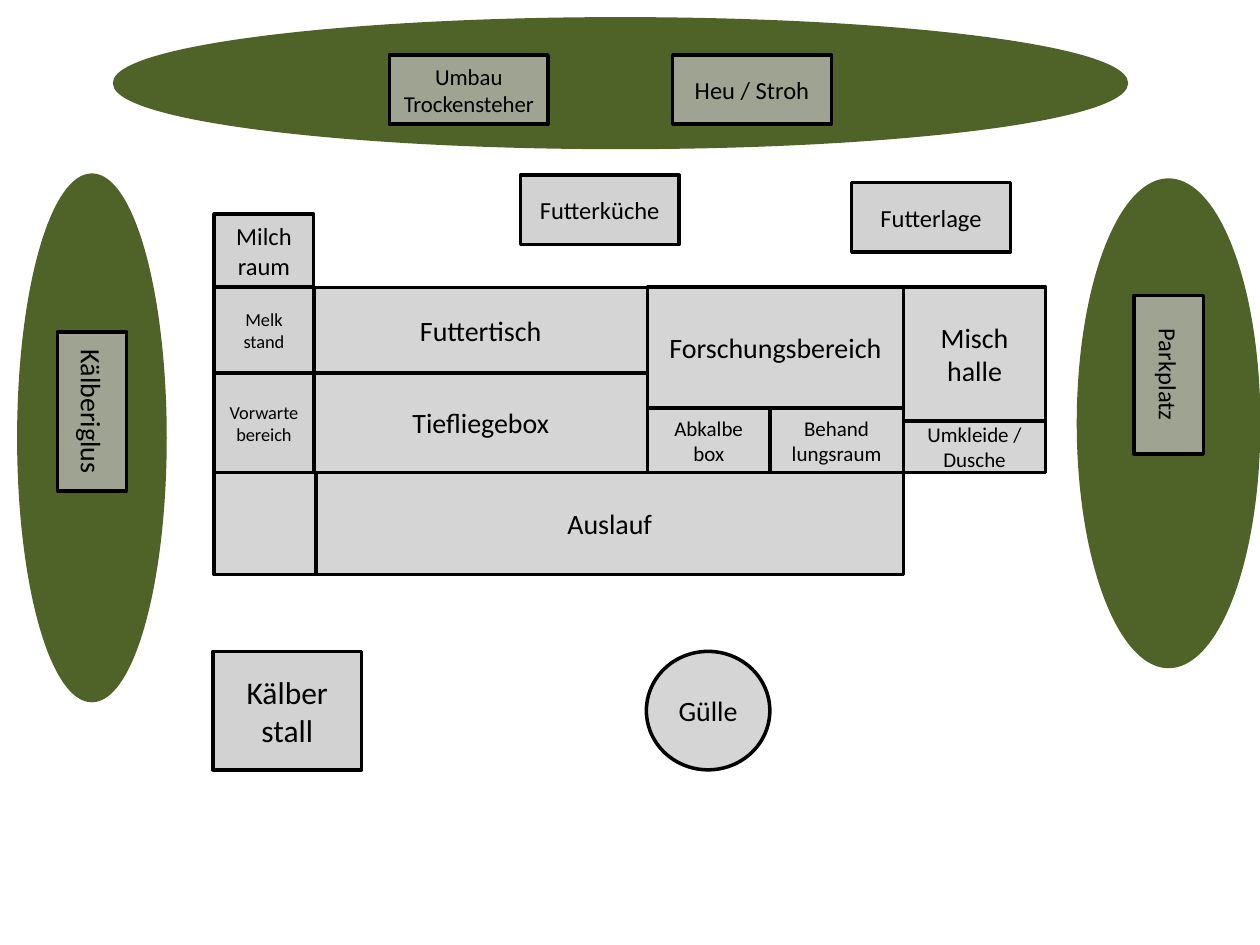
from dataclasses import dataclass
from itertools import accumulate

from lxml import etree
from pptx import Presentation
from pptx.dml.color import RGBColor
from pptx.enum.shapes import MSO_SHAPE
from pptx.enum.text import MSO_ANCHOR, PP_ALIGN
from pptx.oxml.ns import qn
from pptx.util import Inches, Pt

RECTANGLE, OVAL = MSO_SHAPE.RECTANGLE, MSO_SHAPE.OVAL
MIDDLE, CENTER = MSO_ANCHOR.MIDDLE, PP_ALIGN.CENTER


@dataclass(frozen=True)
class Theme:
    """Colours, type sizes and line width of the farm plan."""
    font: str = "Calibri"
    ink: str = "000000"
    building: str = "C0C0C0"
    meadow: str = "4F6228"
    line: float = 2
    tiny: float = 10.5
    small: float = 12
    compact: float = 13
    normal: float = 14
    large: float = 16
    huge: float = 18
    dense: int = 70
    light: int = 66


THEME = Theme()
LABEL_WIDTH, LABEL_HEIGHT = 1.26, 0.55

BARN_COLUMNS = (79, 2, 263, 97, 106, 113)
BARN_ROWS = (58, 68, 28, 10, 41, 81)
BARN_ROOMS = [
    ((0, 1), (0, 1), "Milch\nraum", THEME.normal, THEME.dense),
    ((0, 1), (1, 2), "Melk\nstand", THEME.tiny, THEME.dense),
    ((0, 1), (2, 5), "Vorwartebereich", THEME.tiny, THEME.dense),
    ((3, 5), (1, 3), "Forschungsbereich", THEME.large, THEME.light),
    ((3, 4), (3, 5), "Abkalbe\nbox", THEME.small, THEME.light),
    ((5, 6), (4, 5), "Umkleide / Dusche", THEME.small, THEME.light),
    ((4, 5), (3, 5), "Behand\nlungsraum", THEME.small, THEME.light),
    ((5, 6), (1, 4), "Misch\nhalle", THEME.large, THEME.light),
    ((1, 3), (2, 5), "Tiefliegebox", THEME.large, THEME.light),
    ((1, 3), (1, 2), "Futtertisch", THEME.large, THEME.light),
    ((2, 5), (5, 6), "Auslauf", THEME.large, THEME.light),
    ((0, 2), (5, 6), "", THEME.large, THEME.light),
]


def add_area(slide, kind, box, colour, line, opacity=100):
    """Draw one outlined area and return it."""
    shape = slide.shapes.add_shape(kind, *(Inches(length) for length in box))
    shape.shadow.inherit = False
    shape.fill.solid()
    shape.fill.fore_color.rgb = RGBColor.from_string(colour)
    shape.line.color.rgb = RGBColor.from_string(line)
    shape.line.width = Pt(THEME.line)
    if opacity < 100:
        fill_colour = shape.fill._xPr.find(qn("a:solidFill"))[0]
        etree.SubElement(fill_colour, qn("a:alpha")).set("val", str(opacity * 1000))
    return shape


def add_building(slide, box, text, size, opacity=THEME.dense, kind=RECTANGLE, rotation=0):
    """Draw a grey building with its centred name."""
    shape = add_area(slide, kind, box, THEME.building, THEME.ink, opacity)
    shape.rotation = rotation
    if not text:
        return
    frame = shape.text_frame
    frame.word_wrap = True
    frame.vertical_anchor = MIDDLE
    frame.text = text
    font_format = {"name": THEME.font, "size": Pt(size)}
    for paragraph in frame.paragraphs:
        paragraph.alignment = CENTER
        for run in paragraph.runs:
            for name, value in font_format.items():
                setattr(run.font, name, value)
            run.font.color.rgb = RGBColor.from_string(THEME.ink)


def grid_edges(start, length, shares):
    """Return the edges that divide a length by the given shares."""
    return [start + length * edge / sum(shares) for edge in accumulate(shares, initial=0)]


def add_barn(slide, box):
    """Fill the box with the rooms of the barn."""
    left, top, width, height = box
    columns = grid_edges(left, width, BARN_COLUMNS)
    rows = grid_edges(top, height, BARN_ROWS)
    for (first, last), (upper, lower), text, size, opacity in BARN_ROOMS:
        room = (columns[first], rows[upper],
                columns[last] - columns[first], rows[lower] - rows[upper])
        add_building(slide, room, text, size, opacity)


def add_meadow(slide, box, labels, rotation=0):
    """Draw a green oval with labels centred at shares of its box."""
    left, top, width, height = box
    add_area(slide, OVAL, box, THEME.meadow, THEME.meadow)
    for across, down, text, size in labels:
        label = (left + across * width - LABEL_WIDTH / 2,
                 top + down * height - LABEL_HEIGHT / 2, LABEL_WIDTH, LABEL_HEIGHT)
        add_building(slide, label, text, size, rotation=rotation)


def add_feed_stores(slide, box):
    """Place the feed kitchen and feed store at opposite corners of the box."""
    left, top, width, height = box
    for across, down, text in ((0, 0, "Futterküche"), (1, 1, "Futterlage")):
        store = (left + across * (width - LABEL_WIDTH),
                 top + down * (height - LABEL_HEIGHT), LABEL_WIDTH, LABEL_HEIGHT)
        add_building(slide, store, text, THEME.normal)


def add_lower_yard(slide, box):
    """Place the calf shed and slurry tank at the ends of the box."""
    left, top, width, height = box
    shed, tank = 1.18, 0.98
    add_building(slide, (left, top, shed, height), "Kälber\nstall", THEME.huge)
    add_building(slide, (left + width - tank, top, tank, height), "Gülle",
                 THEME.large, THEME.light, OVAL)


def build_farm_plan():
    """Build and save the farm plan."""
    presentation = Presentation()
    presentation.slide_width, presentation.slide_height = Inches(10), Inches(7.5)
    slide = presentation.slides.add_slide(presentation.slide_layouts[6])
    add_barn(slide, (1.7, 1.7, 6.6, 2.86))
    add_feed_stores(slide, (4.13, 1.39, 3.89, 0.61))
    add_lower_yard(slide, (1.69, 5.17, 4.42, 0.94))
    add_meadow(slide, (8.56, 1.43, 1.43, 3.86),
               [(0.5, 0.4, "Parkplatz", THEME.normal)], 90)
    add_meadow(slide, (0.15, 1.39, 1.16, 4.17),
               [(0.5, 0.45, "Kälberiglus", THEME.large)], 90)
    add_meadow(slide, (0.91, 0.15, 8.03, 1.02),
               [(0.35, 0.55, "Umbau\nTrockensteher", THEME.compact),
                (0.63, 0.55, "Heu / Stroh", THEME.normal)])
    presentation.save("out.pptx")


build_farm_plan()
